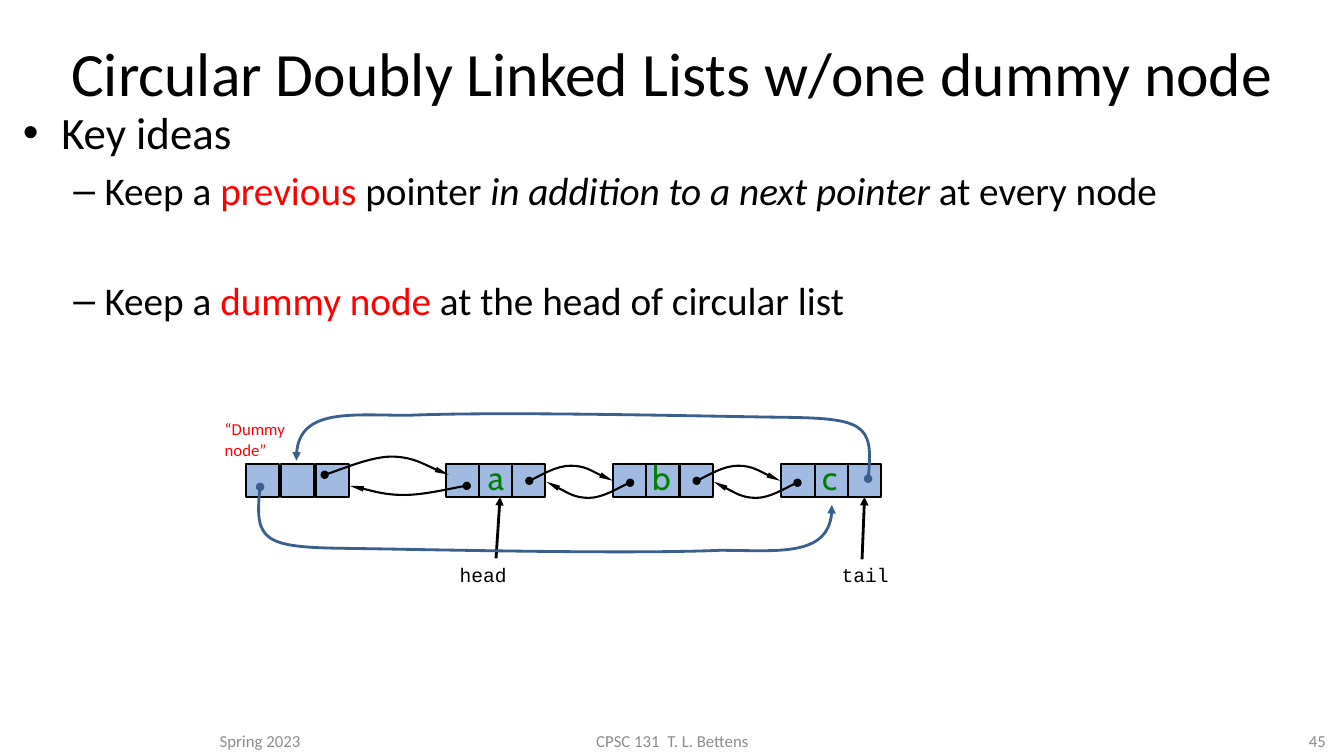
from dataclasses import dataclass

from lxml.etree import SubElement
from pptx import Presentation
from pptx.dml.color import RGBColor
from pptx.enum.shapes import MSO_CONNECTOR, MSO_SHAPE
from pptx.enum.text import MSO_ANCHOR, PP_ALIGN
from pptx.oxml.ns import qn
from pptx.util import Inches, Pt


@dataclass(frozen=True)
class Theme:
    black: str = "000000"
    red: str = "FF0000"
    green: str = "008000"
    gray: str = "8C8C8C"
    cell: str = "A0BAE1"
    loop: str = "3A5F8C"
    font: str = "Calibri"
    letter_font: str = "Cabin"
    code_font: str = "Courier New"
    title: int = 44
    idea: int = 32
    detail: int = 28
    letter: int = 24
    code: int = 14
    small: int = 12


THEME = Theme()
CELL = 0.33
CELL_TOP = 4.6
NODES = (("a", 4.42, 4.72), ("b", 6.08, 6.36), ("c", 7.75, 8.03))


def color(value):
    return RGBColor.from_string(value)


def add_span(para, text, size, ink=THEME.black, font=THEME.font, italic=False):
    span = para.add_run()
    span.text = text
    span.font.size = Pt(size)
    span.font.name = font
    span.font.color.rgb = color(ink)
    span.font.italic = italic


def add_box(page, left, top, width, height, anchor=MSO_ANCHOR.TOP):
    box = page.shapes.add_textbox(Inches(left), Inches(top), Inches(width), Inches(height))
    box.text_frame.word_wrap = True
    box.text_frame.vertical_anchor = anchor
    return box


def add_text(page, text, left, top, width, height,
             align=PP_ALIGN.LEFT, anchor=MSO_ANCHOR.TOP, **style):
    box = add_box(page, left, top, width, height, anchor)
    frame = box.text_frame
    for index, line in enumerate(text.split("\n")):
        para = frame.add_paragraph() if index else frame.paragraphs[0]
        para.alignment = align
        add_span(para, line, **style)
    return box


def add_bullet(para, mark, margin, hanging, space_before=0):
    properties = para._p.get_or_add_pPr()
    properties.set("marL", str(Inches(margin)))
    properties.set("indent", str(-Inches(hanging)))
    SubElement(properties, qn("a:buFont"), typeface="Arial")
    SubElement(properties, qn("a:buChar"), char=mark)
    para.space_before = Pt(space_before)


def add_ideas(page):
    frame = add_box(page, 0.13, 0.99, 13, 5.38).text_frame
    para = frame.paragraphs[0]
    add_bullet(para, "•", 0.38, 0.38)
    add_span(para, "Key ideas", THEME.idea)
    details = (
        (5.6, (("Keep a ", {}), ("previous", {"ink": THEME.red}), (" pointer ", {}),
               ("in addition to a next pointer", {"italic": True}), (" at every node", {}))),
        (45, (("Keep a ", {}), ("dummy node ", {"ink": THEME.red}),
              ("at the head of circular list", {}))),
    )
    for space_before, spans in details:
        para = frame.add_paragraph()
        para.level = 1
        add_bullet(para, "–", 0.81, 0.31, space_before)
        for text, style in spans:
            add_span(para, text, THEME.detail, **style)


def add_node(page, left, pitch=CELL):
    cells = []
    for index in range(3):
        cell = page.shapes.add_shape(MSO_SHAPE.RECTANGLE, Inches(left + index * pitch),
                                     Inches(CELL_TOP), Inches(CELL), Inches(CELL))
        cell.shadow.inherit = False
        cell.fill.solid()
        cell.fill.fore_color.rgb = color(THEME.cell)
        cell.line.color.rgb = color(THEME.black)
        cell.line.width = Pt(1.5)
        cells.append(cell)
    return cells


def style_line(shape, ink, width, dot=False, slim=False):
    shape.line.color.rgb = color(ink)
    shape.line.width = Pt(width)
    outline = shape.line._get_or_add_ln()
    if dot:
        SubElement(outline, qn("a:headEnd"), type="oval")
    breadth, length = ("sm", "lg") if slim else ("med", "med")
    SubElement(outline, qn("a:tailEnd"), type="triangle", w=breadth, len=length)


def add_curve(page, points, ink=THEME.black, width=1.5, slim=True):
    start, *controls = [(Inches(x), Inches(y)) for x, y in points]
    builder = page.shapes.build_freeform(*start)
    builder.add_line_segments(controls, close=False)
    curve = builder.convert_to_shape()
    segments = list(curve._element.iter(qn("a:lnTo")))
    for first in range(0, len(segments), 3):
        bezier = SubElement(segments[first].getparent(), qn("a:cubicBezTo"))
        for segment in segments[first:first + 3]:
            bezier.append(segment[0])
            segment.getparent().remove(segment)
    curve.shadow.inherit = False
    curve.fill.background()
    style_line(curve, ink, width, dot=True, slim=slim)


def add_links(page, left):
    forward = ((0.83, 4.77), (0.9, 4.74), (1.1, 4.62), (1.24, 4.62),
               (1.38, 4.62), (1.58, 4.74), (1.66, 4.77))
    backward = ((1.83, 4.79), (1.76, 4.81), (1.56, 4.94), (1.42, 4.94),
                (1.28, 4.94), (1.08, 4.82), (1, 4.78))
    for link in (forward, backward):
        add_curve(page, [(left + x, y) for x, y in link])


def add_pointer(page, start, end, start_box=None, end_box=None):
    pointer = page.shapes.add_connector(MSO_CONNECTOR.STRAIGHT,
                                        *(Inches(value) for value in start + end))
    if start_box is not None:
        pointer.begin_connect(start_box, 0)
    if end_box is not None:
        pointer.end_connect(end_box, 2)
    style_line(pointer, THEME.black, 2)
    SubElement(pointer._element.spPr, qn("a:effectLst"))


def add_list(page):
    add_node(page, 2.44, pitch=0.345)
    for letter, left, letter_left in NODES:
        cells = add_node(page, left)
        add_text(page, letter, letter_left, 4.48, 0.4, 0.5, align=PP_ALIGN.CENTER,
                 size=THEME.letter, ink=THEME.green, font=THEME.letter_font)
    for _, left, _ in NODES[:-1]:
        add_links(page, left)
    add_curve(page, [(3.22, 4.71), (3.33, 4.68), (3.68, 4.53), (3.88, 4.53),
                     (4.09, 4.53), (4.33, 4.67), (4.45, 4.71)])
    add_curve(page, [(4.63, 4.82), (4.53, 4.83), (4.21, 4.91), (4.01, 4.91),
                     (3.82, 4.91), (3.58, 4.84), (3.47, 4.82)])
    add_text(page, "“Dummy\nnode”", 2.13, 4.11, 1.42, 0.5, size=THEME.small, ink=THEME.red)

    code = {"size": THEME.code, "font": THEME.code_font}
    head = add_text(page, "head", 4.46, 5.54, 0.92, 0.34, **code)
    add_text(page, "tail", 8.25, 5.54, 1.16, 0.34, **code)
    add_pointer(page, (4.92, 5.54), (4.96, 4.93), start_box=head)
    add_pointer(page, (8.55, 5.55), (8.59, 4.93), end_box=cells[-1])

    loop = {"ink": THEME.loop, "width": 2, "slim": False}
    add_curve(page, [(2.58, 4.83), (2.52, 5.36), (2.62, 5.43), (3.41, 5.44), (4.2, 5.45),
                     (6.19, 5.5), (7.14, 5.46), (7.7, 5.46), (8.27, 5.54), (8.25, 5.01)], **loop)
    add_curve(page, [(8.61, 4.75), (8.67, 4.21), (8.56, 4.15), (7.78, 4.14), (6.99, 4.13),
                     (5, 4.08), (4.05, 4.12), (3.49, 4.12), (2.92, 4.04), (2.94, 4.57)], **loop)


def add_footer(page):
    for text, left, width, align in (("Spring 2023", 2.08, 2.33, PP_ALIGN.LEFT),
                                     ("CPSC 131  T. L. Bettens", 4.42, 4.5, PP_ALIGN.CENTER),
                                     ("45", 10.25, 3, PP_ALIGN.RIGHT)):
        add_text(page, text, left, 6.95, width, 0.55, align=align,
                 anchor=MSO_ANCHOR.BOTTOM, size=THEME.small, ink=THEME.gray)


def main():
    deck = Presentation()
    deck.slide_width, deck.slide_height = Inches(13.33), Inches(7.5)
    page = deck.slides.add_slide(deck.slide_layouts[6])
    add_text(page, "Circular Doubly Linked Lists w/one dummy node", 0.17, 0.3, 13, 1.25,
             align=PP_ALIGN.CENTER, size=THEME.title)
    add_ideas(page)
    add_list(page)
    add_footer(page)
    deck.save("out.pptx")


if __name__ == "__main__":
    main()
